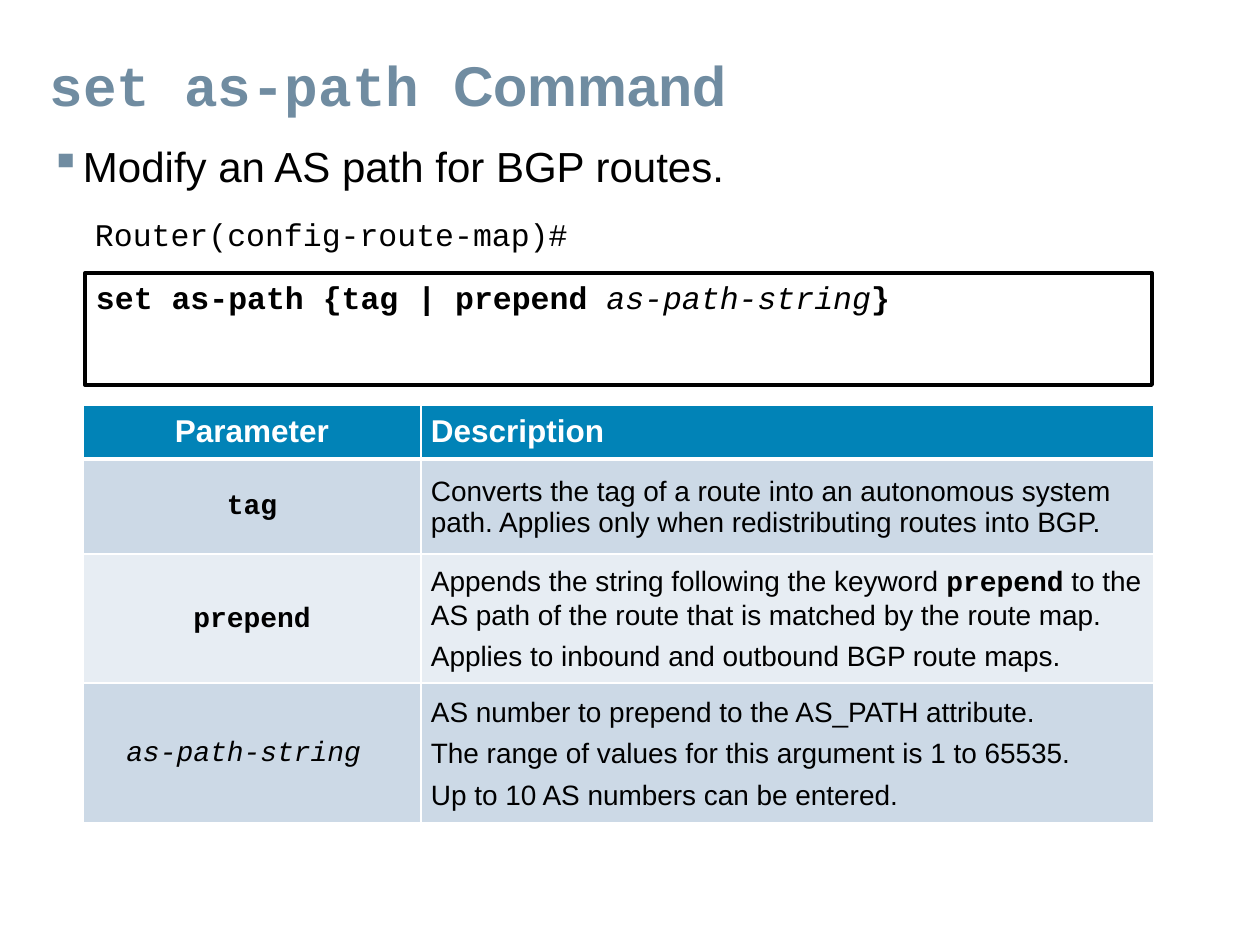
from dataclasses import dataclass

import pptx
import pptx.dml.color
import pptx.enum.text
import pptx.oxml
import pptx.oxml.ns
import pptx.util

PX = 914400 // 126
SANS, MONO = "Arial", "Courier New"
SLATE, BLACK, WHITE = "708CA1", "000000", "FFFFFF"
HEADER, BAND_DARK, BAND_LIGHT = "0183B7", "CCD9E6", "E7EDF3"
LEFT = pptx.enum.text.PP_ALIGN.LEFT
CENTER = pptx.enum.text.PP_ALIGN.CENTER
MIDDLE = pptx.enum.text.MSO_ANCHOR.MIDDLE


@dataclass
class Run:
    text: str
    font: str = SANS
    bold: bool = False
    italic: bool = False


@dataclass
class Row:
    height: int
    fill: str
    name: Run
    description: list[list[Run]]
    size: int = 16
    color: str = BLACK
    margins: tuple[int, int] = (10, 8)
    rule: float = 1


@dataclass
class Box:
    left: int
    top: int
    width: int
    height: int
    runs: list[Run]
    size: int
    bullet: bool = False
    outlined: bool = False


BOXES = [
    Box(39, 135, 1171, 68, [Run("Modify an AS path for BGP routes.")], 24, bullet=True),
    Box(84, 210, 1068, 52, [Run("Router(config-route-map)#", MONO)], 18),
    Box(85, 273, 1067, 112, [
        Run("set as-path {tag | prepend ", MONO, bold=True),
        Run("as-path-string", MONO, italic=True),
        Run("}", MONO, bold=True)], 18, outlined=True),
]

COLUMNS = (338, 733)
ROWS = [
    Row(54, HEADER, Run("Parameter", bold=True), [[Run("Description", bold=True)]],
        18, WHITE, (5, 5), 3),
    Row(95, BAND_DARK, Run("tag", MONO, bold=True), [
        [Run("Converts the tag of a route into an autonomous system path. "
             "Applies only when redistributing routes into BGP.")]]),
    Row(125, BAND_LIGHT, Run("prepend", MONO, bold=True), [
        [Run("Appends the string following the keyword "),
         Run("prepend", MONO, bold=True),
         Run(" to the AS path of the route that is matched by the route map.")],
        [Run("Applies to inbound and outbound BGP route maps.")]]),
    Row(130, BAND_DARK, Run("as-path-string ", MONO, italic=True), [
        [Run("AS number to prepend to the AS_PATH attribute.")],
        [Run("The range of values for this argument is 1 to 65535.")],
        [Run("Up to 10 AS numbers can be entered.")]]),
]


def px(n: int) -> int:
    return pptx.util.Emu(n * PX)


def rgb(value: str) -> pptx.dml.color.RGBColor:
    return pptx.dml.color.RGBColor.from_string(value)


def write(tf, paragraphs: list[list[Run]], *, size: int, color: str = BLACK,
          align=LEFT, after: int = 6, spacing: float = 1.0) -> None:
    """Fill a text frame with formatted runs, one list for each paragraph."""
    tf.word_wrap = True
    for i, runs in enumerate(paragraphs):
        p = tf.add_paragraph() if i else tf.paragraphs[0]
        p.alignment, p.line_spacing = align, spacing
        p.space_before, p.space_after = pptx.util.Pt(0), pptx.util.Pt(after)
        for run in runs:
            r = p.add_run()
            r.text = run.text
            r.font.name, r.font.size = run.font, pptx.util.Pt(size)
            r.font.bold, r.font.italic = run.bold, run.italic
            r.font.color.rgb = rgb(color)


def add_bullet(p, color: str) -> None:
    ns = pptx.oxml.ns.nsdecls("a")
    pPr = p._p.get_or_add_pPr()
    pPr.set("marL", str(px(33)))
    pPr.set("indent", str(-px(33)))
    pPr.append(pptx.oxml.parse_xml(
        f'<a:buClr {ns}><a:srgbClr val="{color}"/></a:buClr>'))
    pPr.append(pptx.oxml.parse_xml(f'<a:buChar {ns} char="▪"/>'))


def add_box(slide, box: Box) -> None:
    sp = slide.shapes.add_textbox(*map(px, (box.left, box.top, box.width, box.height)))
    tf = sp.text_frame
    tf.margin_left = tf.margin_right = px(11)
    tf.margin_top = tf.margin_bottom = px(5)
    write(tf, [box.runs], size=box.size)
    if box.bullet:
        add_bullet(tf.paragraphs[0], SLATE)
    if box.outlined:
        sp.line.color.rgb = rgb(BLACK)
        sp.line.width = pptx.util.Pt(2.25)


def set_borders(cell, top: float, bottom: float) -> None:
    tcPr = cell._tc.get_or_add_tcPr()
    for i, (side, width) in enumerate((("L", 1), ("R", 1), ("T", top), ("B", bottom))):
        tcPr.insert(i, pptx.oxml.parse_xml(
            f'<a:ln{side} {pptx.oxml.ns.nsdecls("a")} w="{pptx.util.Pt(width)}">'
            f'<a:solidFill><a:srgbClr val="{WHITE}"/></a:solidFill></a:ln{side}>'))


def add_parameters(slide, left: int, top: int) -> None:
    height = sum(row.height for row in ROWS)
    table = slide.shapes.add_table(len(ROWS), len(COLUMNS), px(left), px(top),
                                   px(sum(COLUMNS)), px(height)).table
    for column, width in zip(table.columns, COLUMNS):
        column.width = px(width)
    rule_above = 1
    for i, row in enumerate(ROWS):
        table.rows[i].height = px(row.height)
        contents = (([[row.name]], CENTER), (row.description, LEFT))
        for cell, (paragraphs, align) in zip(table.rows[i].cells, contents):
            cell.fill.solid()
            cell.fill.fore_color.rgb = rgb(row.fill)
            cell.vertical_anchor = MIDDLE
            cell.margin_left = cell.margin_right = px(10)
            cell.margin_top, cell.margin_bottom = map(px, row.margins)
            write(cell.text_frame, paragraphs, size=row.size, color=row.color, align=align)
            set_borders(cell, rule_above, row.rule)
        rule_above = row.rule


prs = pptx.Presentation()
prs.slide_width, prs.slide_height = px(1260), px(945)
slide = prs.slides.add_slide(prs.slide_layouts[5])

# Title
title = slide.shapes.title
title.left, title.top, title.width, title.height = map(px, (37, 50, 1174, 76))
title.text_frame.vertical_anchor = MIDDLE
write(title.text_frame, [[Run("set as-path ", MONO, bold=True), Run("Command", bold=True)]],
      size=32, color=SLATE, after=0, spacing=0.9)

# Command syntax
for box in BOXES:
    add_box(slide, box)

# Parameter table
add_parameters(slide, 83, 405)

prs.save("out.pptx")
